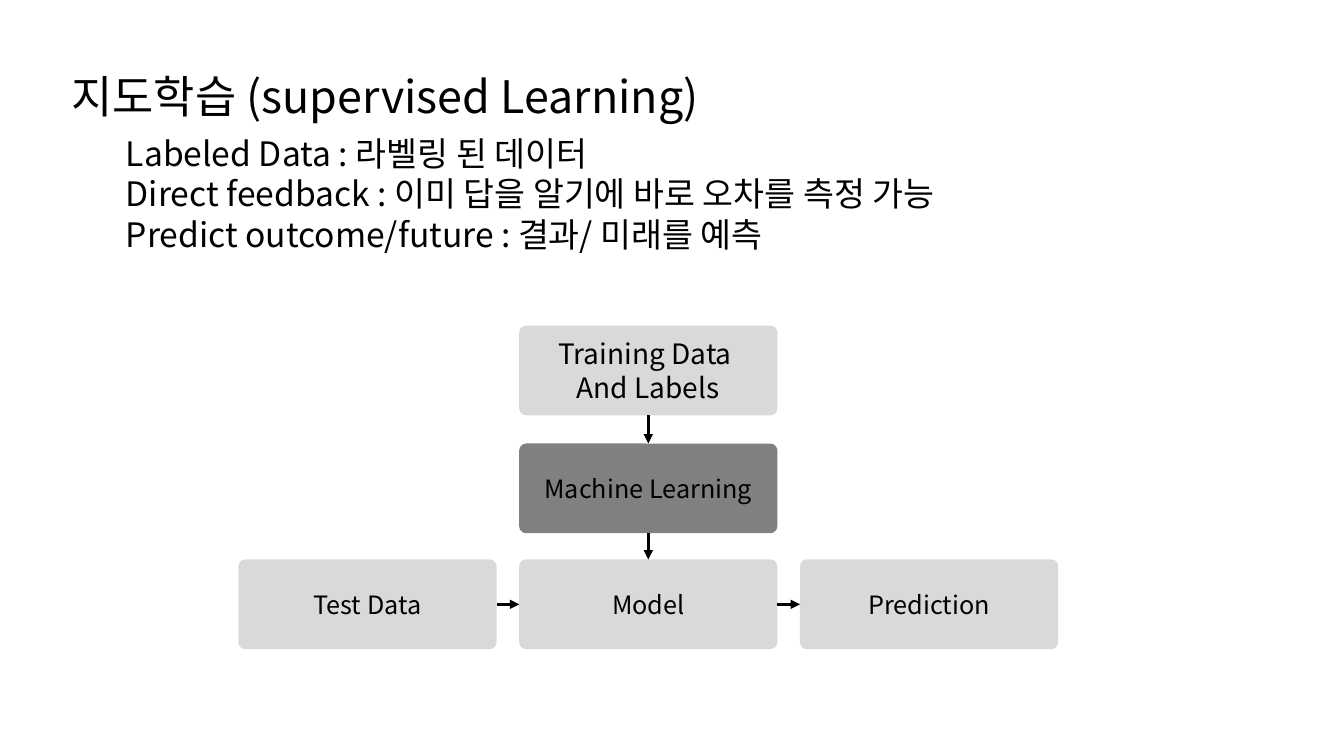
"""Build the supervised learning slide with its training and prediction flow."""
from dataclasses import dataclass

from lxml import etree
from pptx import Presentation
from pptx import util as u
from pptx.dml.color import RGBColor
from pptx.enum import shapes, text
from pptx.oxml.ns import qn


@dataclass(frozen=True)
class Theme:
    font: str = "Noto Sans CJK KR"
    ink: RGBColor = RGBColor(0, 0, 0)
    light: RGBColor = RGBColor(0xD9, 0xD9, 0xD9)
    dark: RGBColor = RGBColor(0x80, 0x80, 0x80)
    title: int = 32
    body: int = 24
    large_label: int = 20
    label: int = 18


theme = Theme()


def write(shape, wording, size, align):
    frame = shape.text_frame
    frame.text = wording
    frame.word_wrap = True
    for para in frame.paragraphs:
        para.alignment = align
        for span in para.runs:
            span.font.size = u.Pt(size)
            span.font.name = theme.font
            span.font.color.rgb = theme.ink
            east_asian = etree.SubElement(span.font._element, qn("a:ea"))
            east_asian.set("typeface", theme.font)


deck = Presentation()
deck.slide_width, deck.slide_height = u.Inches(13.33), u.Inches(7.5)
page = deck.slides.add_slide(deck.slide_layouts[6])

body = "\n".join([
    "Labeled Data : 라벨링 된 데이터",
    "Direct feedback : 이미 답을 알기에 바로 오차를 측정 가능",
    "Predict outcome/future : 결과/ 미래를 예측",
])
for left, top, width, height, wording, size in [
    (0.61, 0.63, 6.68, 0.64, "지도학습 (supervised Learning)", theme.title),
    (1.15, 1.27, 8.39, 1.31, body, theme.body),
]:
    box = page.shapes.add_textbox(*map(u.Inches, (left, top, width, height)))
    write(box, wording, size, text.PP_ALIGN.LEFT)

step_width, step_height = 2.56, 0.89
center_left, column_pitch = 5.15, 2.785
steps = {}
for name, wording, column, top, fill, size in [
    ("learning", "Machine Learning", 0, 4.4, theme.dark, theme.label),
    ("training", "Training Data \nAnd Labels", 0, 3.23, theme.light, theme.large_label),
    ("model", "Model", 0, 5.55, theme.light, theme.label),
    ("test", "Test Data", -1, 5.55, theme.light, theme.label),
    ("prediction", "Prediction", 1, 5.55, theme.light, theme.label),
]:
    left = center_left + column * column_pitch
    step = page.shapes.add_shape(
        shapes.MSO_SHAPE.ROUNDED_RECTANGLE,
        *map(u.Inches, (left, top, step_width, step_height)),
    )
    step.adjustments[0] = 0.076
    step.shadow.inherit = False
    step.fill.solid()
    step.fill.fore_color.rgb = fill
    step.line.fill.background()
    step.text_frame.vertical_anchor = text.MSO_ANCHOR.MIDDLE
    write(step, wording, size, text.PP_ALIGN.CENTER)
    steps[name] = step

top_site, left_site, bottom_site, right_site = range(4)
for source, source_site, target, target_site in [
    ("training", bottom_site, "learning", top_site),
    ("learning", bottom_site, "model", top_site),
    ("test", right_site, "model", left_site),
    ("model", right_site, "prediction", left_site),
]:
    arrow = page.shapes.add_connector(shapes.MSO_CONNECTOR.STRAIGHT, 0, 0, 0, 0)
    arrow.begin_connect(steps[source], source_site)
    arrow.end_connect(steps[target], target_site)
    arrow.line.color.rgb = theme.ink
    arrow.line.width = u.Pt(2.25)
    etree.SubElement(arrow.line._get_or_add_ln(), qn("a:tailEnd")).set("type", "triangle")
    etree.SubElement(arrow._element.spPr, qn("a:effectLst"))

deck.save("out.pptx")
